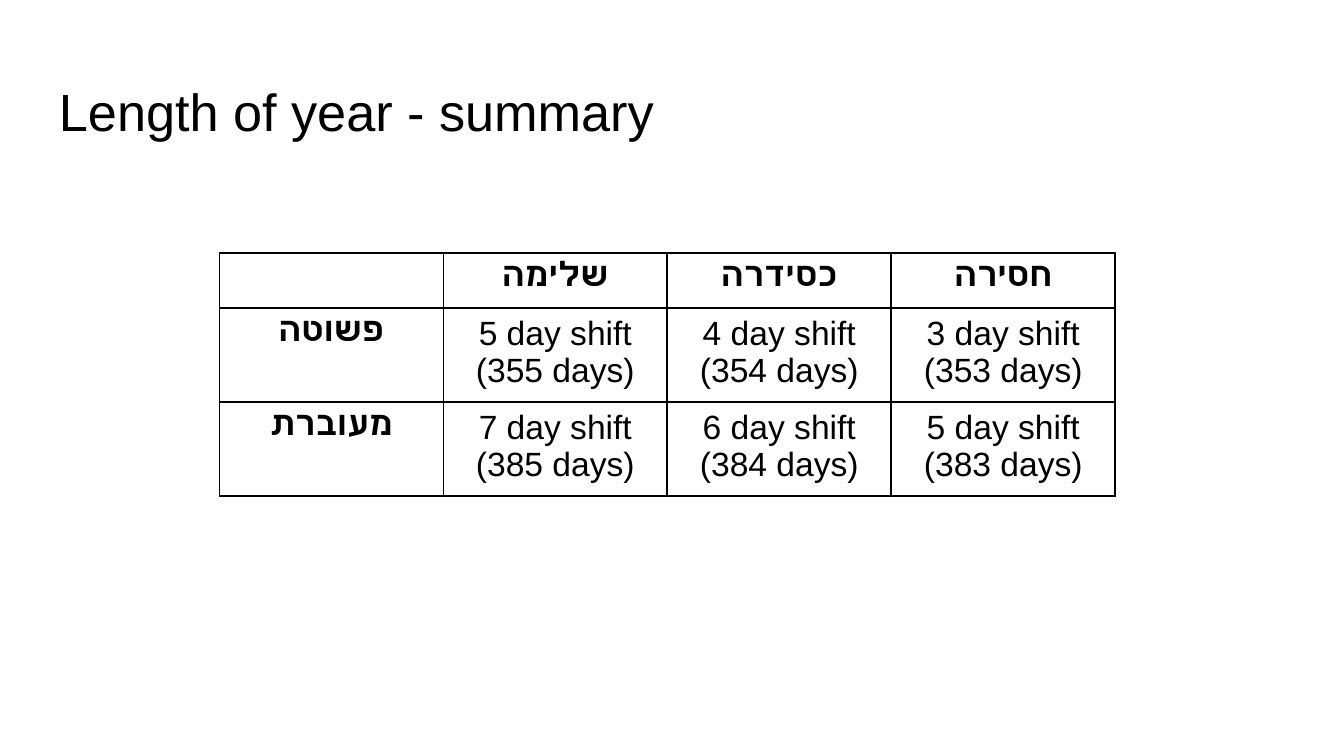
from lxml import etree
from pptx import Presentation
from pptx.dml.color import RGBColor
from pptx.enum import text
from pptx.oxml import ns
from pptx.util import Pt

BLACK = RGBColor(0, 0, 0)
WHITE = RGBColor(255, 255, 255)
FONT = "Arial"
COLUMN_WIDTH = 120
ROW_HEIGHTS = (29.5, 47.5, 47.5)
YEAR_LENGTHS = (
    ("", "שלימה", "כסידרה", "חסירה"),
    ("פשוטה", "5 day shift (355 days)", "4 day shift (354 days)", "3 day shift (353 days)"),
    ("מעוברת", "7 day shift (385 days)", "6 day shift (384 days)", "5 day shift (383 days)"),
)


def format_runs(paragraph, size, bold=False):
    for run in paragraph.runs:
        run.font.name = FONT
        run.font.size = Pt(size)
        run.font.bold = bold
        run.font.color.rgb = BLACK


def add_title(slide, wording):
    shape = slide.shapes.add_textbox(Pt(24.5), Pt(35), Pt(671), Pt(45))
    frame = shape.text_frame
    frame.word_wrap = True
    frame.margin_left = frame.margin_right = Pt(7.2)
    frame.margin_top = frame.margin_bottom = Pt(7.2)
    frame.text = wording
    format_runs(frame.paragraphs[0], 28)


def add_borders(cell):
    properties = cell._tc.get_or_add_tcPr()
    for position, side in enumerate(("lnL", "lnR", "lnT", "lnB")):
        line = etree.Element(ns.qn(f"a:{side}"), w=str(Pt(1)))
        fill = etree.SubElement(line, ns.qn("a:solidFill"))
        etree.SubElement(fill, ns.qn("a:srgbClr"), val=str(BLACK))
        properties.insert(position, line)


def fill_cell(cell, wording, heading):
    cell.fill.solid()
    cell.fill.fore_color.rgb = WHITE
    cell.margin_left = cell.margin_right = Pt(7.2)
    cell.margin_top = cell.margin_bottom = Pt(3.6)
    add_borders(cell)
    cell.text = wording
    paragraph = cell.text_frame.paragraphs[0]
    paragraph.alignment = text.PP_ALIGN.CENTER
    format_runs(paragraph, 18, heading)


def add_year_table(slide, rows):
    columns = len(rows[0])
    table = slide.shapes.add_table(
        len(rows), columns, Pt(117.5), Pt(135.5),
        Pt(COLUMN_WIDTH * columns), Pt(sum(ROW_HEIGHTS)),
    ).table
    table.first_row = table.horz_banding = False
    for column in table.columns:
        column.width = Pt(COLUMN_WIDTH)
    for row_index, wordings in enumerate(rows):
        table.rows[row_index].height = Pt(ROW_HEIGHTS[row_index])
        for column_index, wording in enumerate(wordings):
            heading = row_index == 0 or column_index == 0
            fill_cell(table.cell(row_index, column_index), wording, heading)


def main():
    presentation = Presentation()
    presentation.slide_width = Pt(720)
    presentation.slide_height = Pt(405)
    slide = presentation.slides.add_slide(presentation.slide_layouts[6])
    add_title(slide, "Length of year - summary")
    add_year_table(slide, YEAR_LENGTHS)
    presentation.save("out.pptx")


if __name__ == "__main__":
    main()
